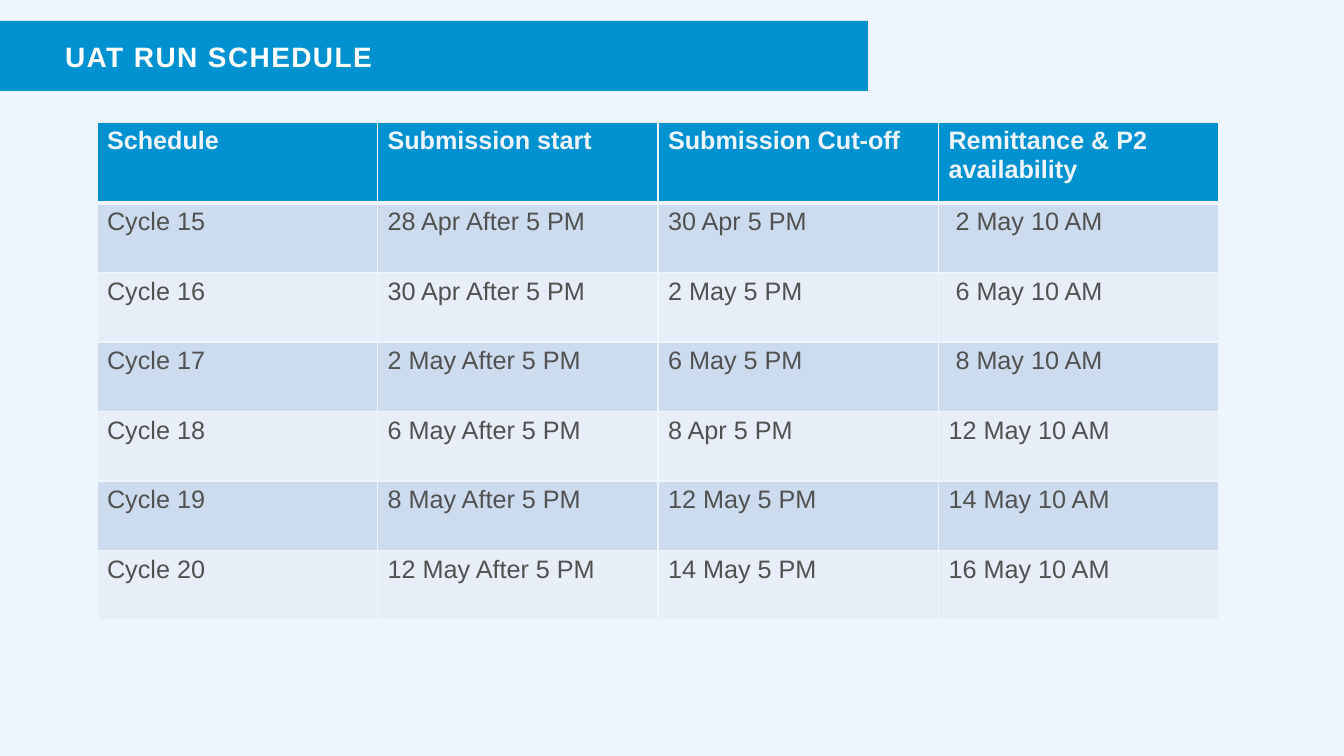
import dataclasses

import lxml.etree
import pptx
import pptx.dml.color
import pptx.enum.text
import pptx.oxml.ns
import pptx.util

EMU_PER_PX = 914400 / 100.8


@dataclasses.dataclass(frozen=True)
class Theme:
    background: str = "EEF5FC"
    accent: str = "0091D0"
    title_text: str = "FFFFFF"
    body_text: str = "515151"
    bands: tuple = ("CCDCEE", "E7EEF7")
    font: str = "Arial"
    title_size: int = 20
    table_size: int = 18
    thin_border: int = 1
    thick_border: int = 3


THEME = Theme()

HEADERS = ("Schedule", "Submission start", "Submission Cut-off", "Remittance & P2 availability")
CYCLES = (
    ("Cycle 15", "28 Apr After 5 PM", "30 Apr 5 PM", " 2 May 10 AM"),
    ("Cycle 16", "30 Apr After 5 PM", "2 May 5 PM", " 6 May 10 AM"),
    ("Cycle 17", "2 May After 5 PM", "6 May 5 PM", " 8 May 10 AM"),
    ("Cycle 18", "6 May After 5 PM", "8 Apr 5 PM", "12 May 10 AM"),
    ("Cycle 19", "8 May After 5 PM", "12 May 5 PM", "14 May 10 AM"),
    ("Cycle 20", "12 May After 5 PM", "14 May 5 PM", "16 May 10 AM"),
)


def px(length):
    return pptx.util.Emu(round(length * EMU_PER_PX))


def paint(fill, color):
    fill.solid()
    fill.fore_color.rgb = pptx.dml.color.RGBColor.from_string(color)


def add_run(paragraph, text, size, color, bold):
    run = paragraph.add_run()
    run.text = text
    run.font.name = THEME.font
    run.font.size = pptx.util.Pt(size)
    run.font.bold = bold
    run.font.color.rgb = pptx.dml.color.RGBColor.from_string(color)
    return run


def add_title(slide, text):
    title = slide.shapes.title
    title.left, title.top, title.width, title.height = px(-26), px(21), px(894), px(70)
    paint(title.fill, THEME.accent)
    frame = title.text_frame
    frame.auto_size = pptx.enum.text.MSO_AUTO_SIZE.NONE
    frame.word_wrap = True
    frame.vertical_anchor = pptx.enum.text.MSO_ANCHOR.MIDDLE
    frame.margin_left, frame.margin_right = px(91), px(20)
    frame.margin_top = frame.margin_bottom = px(15)
    paragraph = frame.paragraphs[0]
    paragraph.alignment = pptx.enum.text.PP_ALIGN.LEFT
    run = add_run(paragraph, text, THEME.title_size, THEME.title_text, True)
    run.font._element.set("spc", "100")


def add_borders(cell, widths):
    properties = cell._tc.get_or_add_tcPr()
    for side, width in widths.items():
        line = lxml.etree.SubElement(
            properties, pptx.oxml.ns.qn(f"a:ln{side}"), w=str(pptx.util.Pt(width))
        )
        solid = lxml.etree.SubElement(line, pptx.oxml.ns.qn("a:solidFill"))
        lxml.etree.SubElement(solid, pptx.oxml.ns.qn("a:srgbClr"), val=THEME.background)


def fill_cell(cell, text, row_index):
    is_header = row_index == 0
    widths = dict.fromkeys("LRTB", THEME.thin_border)
    if is_header:
        widths["B"] = THEME.thick_border
    elif row_index == 1:
        widths["T"] = THEME.thick_border
    add_borders(cell, widths)
    paint(cell.fill, THEME.accent if is_header else THEME.bands[(row_index - 1) % 2])
    color = THEME.background if is_header else THEME.body_text
    add_run(cell.text_frame.paragraphs[0], text, THEME.table_size, color, is_header)


def add_schedule(slide, headers, cycles):
    width, header_height, body_height = px(1122), px(81), px(417)
    table = slide.shapes.add_table(
        len(cycles) + 1, len(headers), px(97), px(122), width, header_height + body_height
    ).table
    for column in table.columns:
        column.width = width // len(headers)
    for row_index, values in enumerate((headers, *cycles)):
        row = table.rows[row_index]
        row.height = body_height // len(cycles) if row_index else header_height
        for cell, text in zip(row.cells, values):
            fill_cell(cell, text, row_index)


def main():
    presentation = pptx.Presentation()
    presentation.slide_width, presentation.slide_height = px(1344), px(756)
    slide = presentation.slides.add_slide(presentation.slide_layouts.get_by_name("Title Only"))
    paint(slide.background.fill, THEME.background)
    add_title(slide, "UAT RUN SCHEDULE")
    add_schedule(slide, HEADERS, CYCLES)
    presentation.save("out.pptx")


if __name__ == "__main__":
    main()
